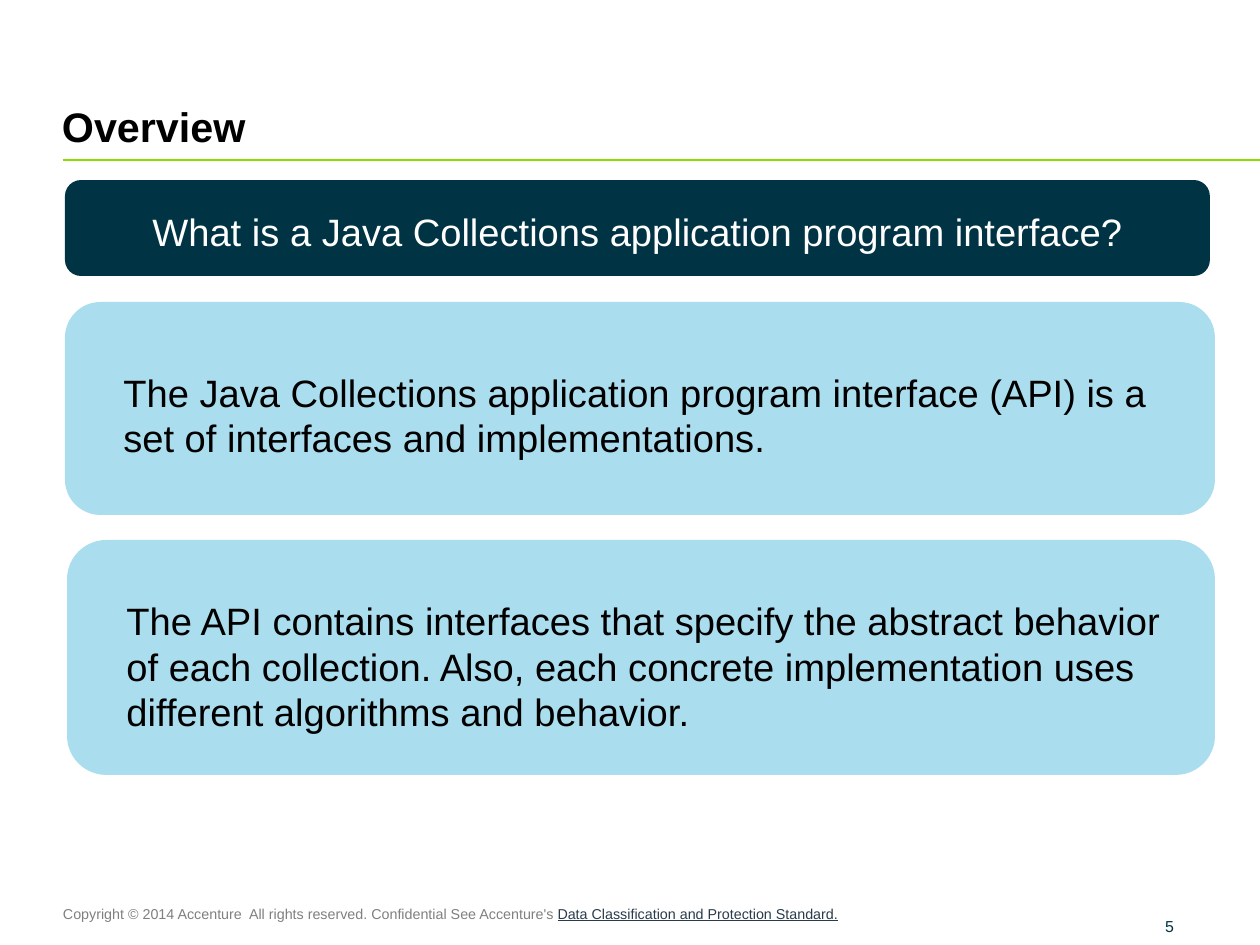
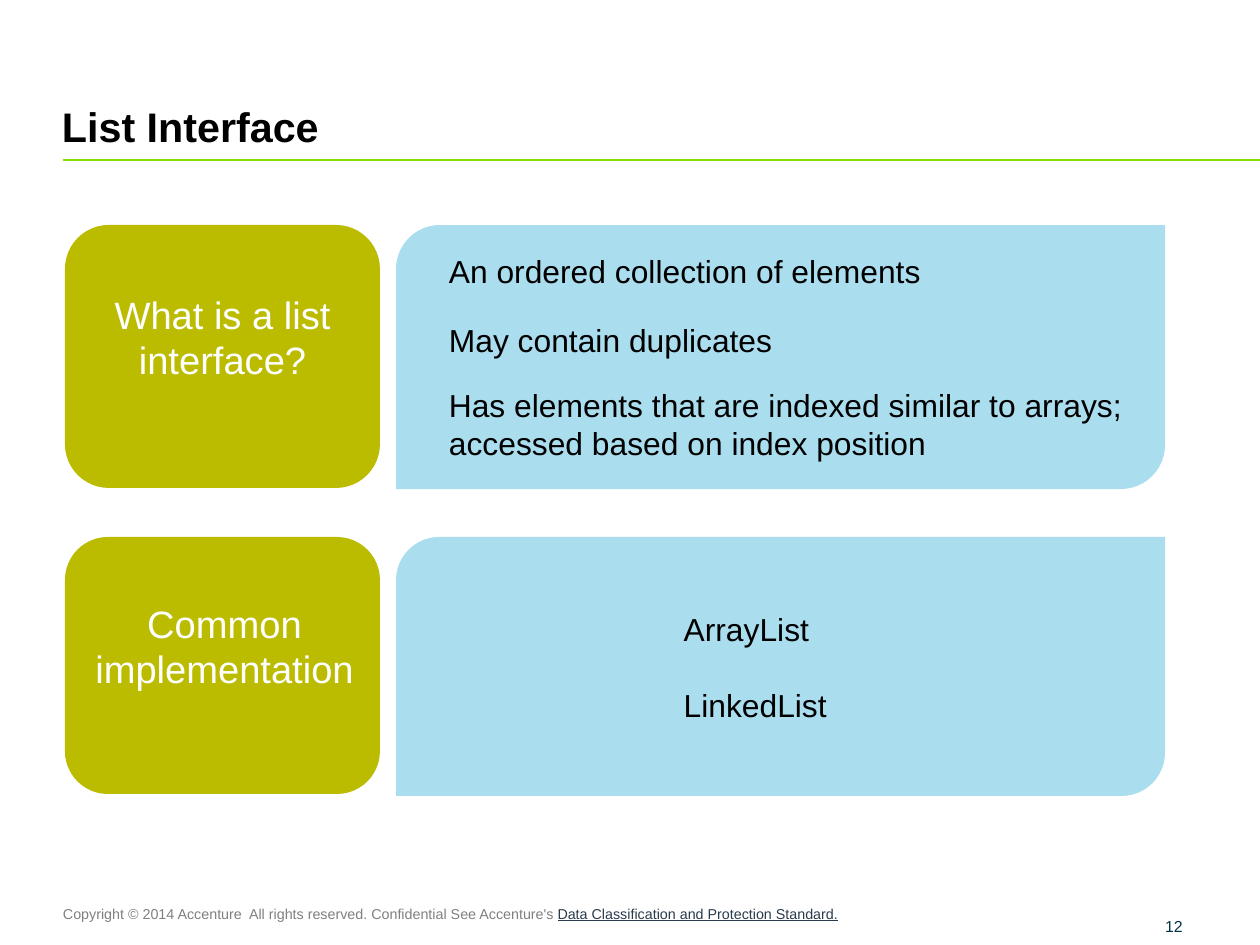
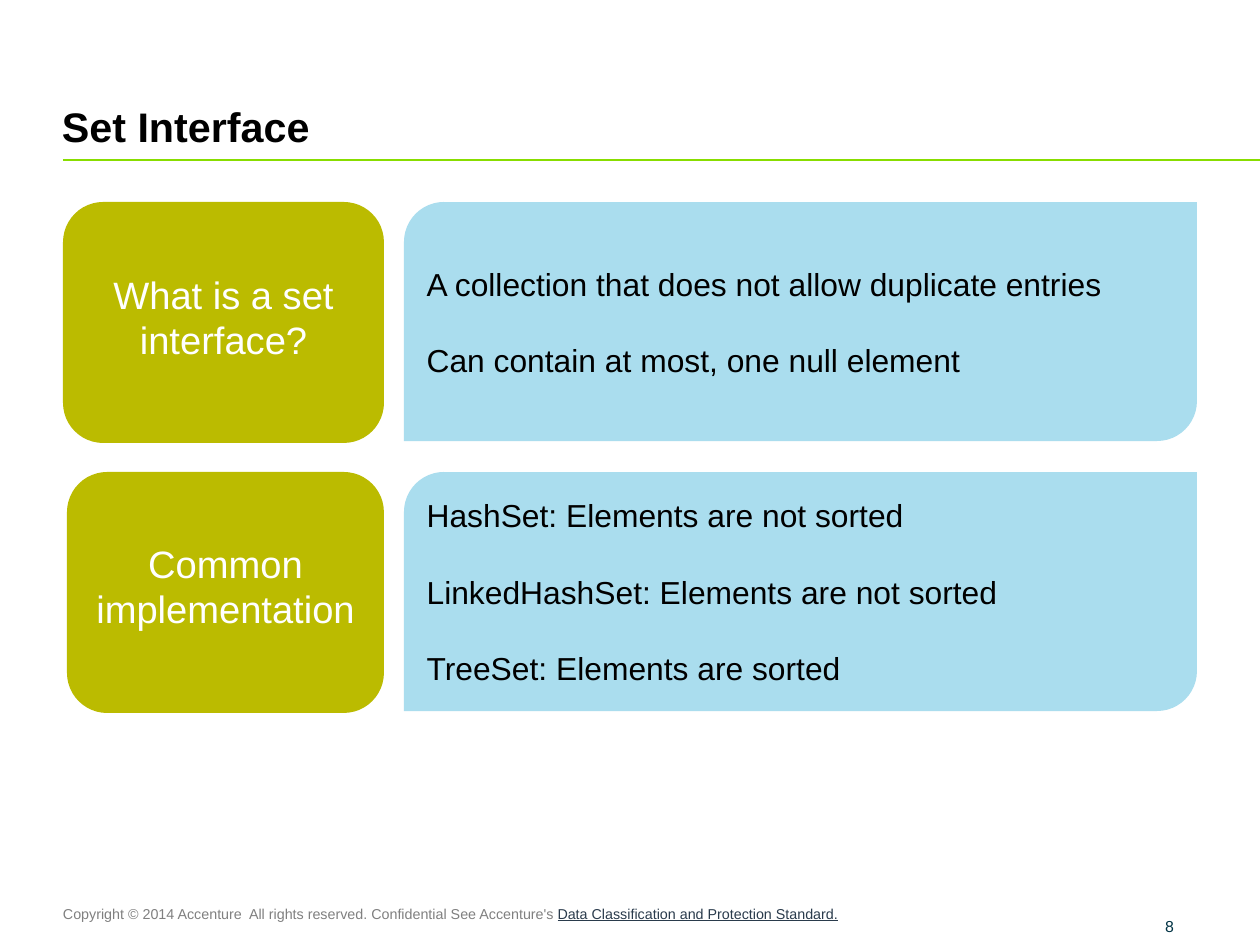
from dataclasses import dataclass

from lxml.etree import SubElement
from pptx import Presentation
from pptx.dml.color import RGBColor
from pptx.enum.shapes import MSO_CONNECTOR, MSO_SHAPE as Preset
from pptx.enum.text import MSO_ANCHOR as Anchor, PP_ALIGN as Align
from pptx.oxml.ns import qn
from pptx.util import Emu, Pt

PX = 8000  # EMU in one px
SLIDE_W, SLIDE_H = 1260, 945
FONT = "Arial"
LEADING = 1.2
CORNER = 0.167
COLORS = {
    "rule": "88DD00",
    "navy": "003344",
    "sky": "AADDEE",
    "olive": "BBBB00",
    "black": "000000",
    "white": "FFFFFF",
    "grey": "808080",
    "reference": "2A3B4C",
}


@dataclass(frozen=True)
class Box:
    left: int
    top: int
    width: int
    height: int

    def emu(self) -> tuple:
        return tuple(px(n) for n in (self.left, self.top, self.width, self.height))


@dataclass(frozen=True)
class Insets:
    left: int = 11
    top: int = 6
    right: int = 11
    bottom: int = 6


@dataclass(frozen=True)
class Statement:
    """A full-width rounded band with one sentence near its bottom."""
    text: str
    box: Box
    insets: Insets
    fill: str = "sky"
    color: str = "black"
    align: Align = Align.LEFT


@dataclass(frozen=True)
class Line:
    text: str
    gap: float = 24  # points before the line, unused on the first


@dataclass(frozen=True)
class Topic:
    """An olive label tile beside a panel of lines."""
    label: str
    tile: Box
    label_box: Box
    panel: Box
    lines: tuple
    left_inset: int = 11


def px(n: int) -> Emu:
    return Emu(n * PX)


def rgb(name: str) -> RGBColor:
    return RGBColor.from_string(COLORS[name])


def write(paragraph, text: str, *, size: int, color: str = "black",
          bold: bool = False, underline: bool = False,
          align: Align = Align.LEFT, gap: float = 0) -> None:
    """Append a formatted run and set its paragraph's alignment and spacing."""
    paragraph.alignment = align
    paragraph.line_spacing = Pt(round(size * LEADING, 1))
    paragraph.space_before = Pt(gap)
    run = paragraph.add_run()
    run.text = text
    font = run.font
    font.name, font.size, font.bold = FONT, Pt(size), bold
    font.underline = underline
    font.color.rgb = rgb(color)


def set_frame(shape, anchor: Anchor, insets: Insets):
    frame = shape.text_frame
    frame.word_wrap = True
    frame.vertical_anchor = anchor
    frame.margin_left, frame.margin_top = px(insets.left), px(insets.top)
    frame.margin_right, frame.margin_bottom = px(insets.right), px(insets.bottom)
    return frame


def add_text_box(slide, box: Box, anchor: Anchor = Anchor.TOP,
                 insets: Insets = Insets()):
    """Return the first paragraph of a new text box."""
    return set_frame(slide.shapes.add_textbox(*box.emu()), anchor, insets).paragraphs[0]


def add_tile(slide, preset: Preset, box: Box, fill: str):
    tile = slide.shapes.add_shape(preset, *box.emu())
    tile.shadow.inherit = False
    tile.adjustments[0] = CORNER
    tile.fill.solid()
    tile.fill.fore_color.rgb = rgb(fill)
    tile.line.fill.background()
    return tile


def add_statement(slide, item: Statement) -> None:
    band = add_tile(slide, Preset.ROUNDED_RECTANGLE, item.box, item.fill)
    frame = set_frame(band, Anchor.BOTTOM, item.insets)
    write(frame.paragraphs[0], item.text, size=24, color=item.color, align=item.align)


def add_topic(slide, topic: Topic) -> None:
    panel = add_tile(slide, Preset.ROUND_2_DIAG_RECTANGLE, topic.panel, "sky")
    frame = set_frame(panel, Anchor.MIDDLE, Insets(left=topic.left_inset))
    for index, line in enumerate(topic.lines):
        paragraph = frame.add_paragraph() if index else frame.paragraphs[0]
        write(paragraph, line.text, size=20, gap=line.gap if index else 0)
    add_tile(slide, Preset.ROUNDED_RECTANGLE, topic.tile, "olive")
    write(add_text_box(slide, topic.label_box), topic.label,
          size=24, color="white", align=Align.CENTER)


def add_page(deck, title: str, number: int):
    """Add a slide with the shared rule, footer, title and page number."""
    slide = deck.slides.add_slide(deck.slide_layouts[6])
    rule = slide.shapes.add_connector(
        MSO_CONNECTOR.STRAIGHT, px(63), px(160), px(SLIDE_W), px(160))
    rule.line.color.rgb = rgb("rule")
    rule.line.width = Pt(1)
    SubElement(rule._element.spPr, qn("a:effectLst"))

    footer = add_text_box(slide, Box(52, 899, 1150, 29))
    write(footer, "Copyright © 2014 Accenture  All rights reserved. "
          "Confidential See Accenture's ", size=9, color="grey")
    write(footer, "Data Classification and Protection Standard.",
          size=9, color="reference", underline=True)

    heading = add_text_box(slide, Box(62, 42, 1198, 109), Anchor.BOTTOM,
                           Insets(left=0, bottom=0))
    write(heading, title, size=26, bold=True)
    page_number = add_text_box(slide, Box(1165, 901, 87, 35), Anchor.BOTTOM,
                               Insets(0, 0, 0, 0))
    write(page_number, str(number), size=10, color="navy")
    return slide


OVERVIEW = (
    Statement("What is a Java Collections application program interface?",
              Box(65, 180, 1145, 96), Insets(bottom=17),
              fill="navy", color="white", align=Align.CENTER),
    Statement("The Java Collections application program interface (API) is a "
              "set of interfaces and implementations.",
              Box(65, 302, 1150, 213), Insets(left=48, bottom=44)),
    Statement("The API contains interfaces that specify the abstract behavior "
              "of each collection. Also, each concrete implementation uses "
              "different algorithms and behavior.",
              Box(67, 540, 1148, 235), Insets(left=48, bottom=29)),
)

LIST_TOPICS = (
    Topic("What is a list interface?",
          Box(65, 225, 315, 263), Box(85, 285, 275, 103), Box(396, 225, 769, 264),
          (Line("An ordered collection of elements"),
           Line("May contain duplicates", gap=19.2),
           Line("Has elements that are indexed similar to arrays; "
                "accessed based on index position", gap=16.8)),
          left_inset=40),
    Topic("Common implementation",
          Box(65, 537, 315, 257), Box(68, 594, 313, 103), Box(396, 537, 769, 259),
          (Line("ArrayList"), Line("LinkedList")),
          left_inset=275),
)

SET_TOPICS = (
    Topic("What is a set interface?",
          Box(63, 202, 321, 241), Box(86, 265, 275, 103), Box(404, 202, 793, 239),
          (Line("A collection that does not allow duplicate entries"),
           Line("Can contain at most, one null element"))),
    Topic("Common implementation",
          Box(67, 472, 317, 241), Box(69, 534, 313, 103), Box(404, 472, 793, 239),
          (Line("HashSet: Elements are not sorted"),
           Line("LinkedHashSet: Elements are not sorted"),
           Line("TreeSet: Elements are sorted"))),
)


def main() -> None:
    deck = Presentation()
    deck.slide_width, deck.slide_height = px(SLIDE_W), px(SLIDE_H)

    overview = add_page(deck, "Overview", 5)
    for statement in OVERVIEW:
        add_statement(overview, statement)

    for title, number, topics in (("List Interface", 12, LIST_TOPICS),
                                  ("Set Interface", 8, SET_TOPICS)):
        slide = add_page(deck, title, number)
        for topic in topics:
            add_topic(slide, topic)

    deck.save("out.pptx")


if __name__ == "__main__":
    main()
